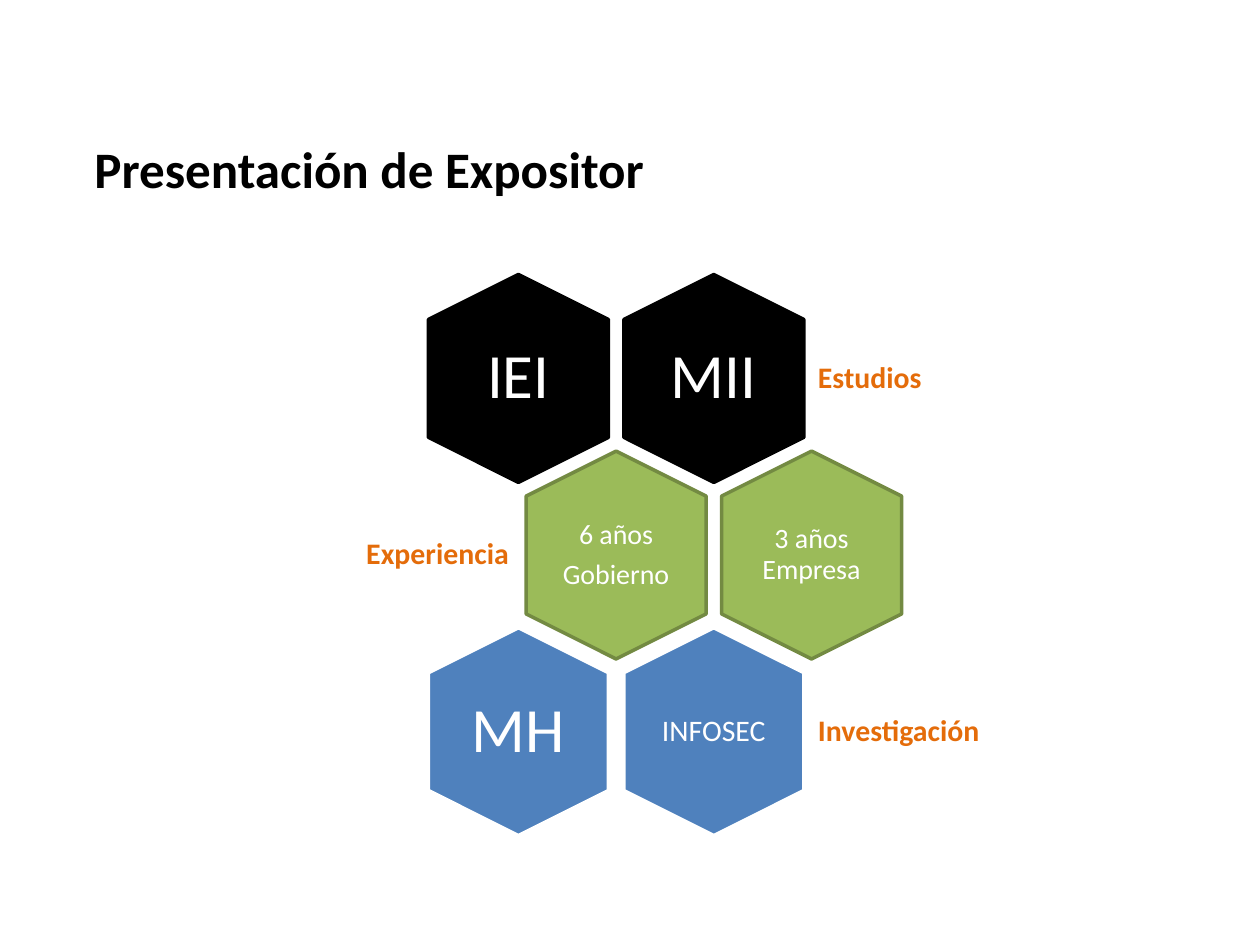
from dataclasses import dataclass

from pptx import Presentation
from pptx.dml.color import RGBColor
from pptx.enum.shapes import MSO_SHAPE
from pptx.enum.text import MSO_ANCHOR, PP_ALIGN
from pptx.slide import Slide
from pptx.text.text import TextFrame
from pptx.util import Cm, Pt

HEXAGON = MSO_SHAPE.HEXAGON
MIDDLE = MSO_ANCHOR.MIDDLE
LEFT, CENTER, RIGHT = PP_ALIGN.LEFT, PP_ALIGN.CENTER, PP_ALIGN.RIGHT

FONT = "Calibri"
COLORS = {
    "black": "000000",
    "white": "FFFFFF",
    "green": "9BBB59",
    "dark green": "738A42",
    "blue": "4F81BD",
    "orange": "E46C0A",
}

# Honeycomb grid, in centimetres
FIRST_X, FIRST_Y = 10.45, 7.63
COLUMN_STEP, ROW_STEP = 3.94, 3.56
HEXAGON_WIDTH, HEXAGON_HEIGHT = 4.19, 3.63
TEXT_WIDTH, TEXT_HEIGHT = 2.51, 2.87
LABEL_HEIGHT, LABEL_INSET = 2.51, 0.18


@dataclass
class Cell:
    lines: list[str]
    size: float


@dataclass
class Row:
    label: str
    label_left: float
    label_width: float
    label_align: PP_ALIGN
    fill: str
    line: str
    cells: list[Cell]
    shift: float = 0


ROWS = [
    Row("Estudios", 16.31, 4.67, LEFT, "black", "black",
        [Cell(["IEI"], 36), Cell(["MII"], 36)]),
    Row("Experiencia", 5.92, 4.52, RIGHT, "green", "dark green",
        [Cell(["6 años", "Gobierno"], 16), Cell(["3 años Empresa"], 16)],
        shift=COLUMN_STEP / 2),
    Row("Investigación", 16.31, 4.67, LEFT, "blue", "white",
        [Cell(["MH"], 36), Cell(["INFOSEC"], 17)]),
]


def color(name: str) -> RGBColor:
    return RGBColor.from_string(COLORS[name])


def write(frame: TextFrame, lines: list[str], size: float, ink: str,
          align: PP_ALIGN, bold: bool = False, spacing: float = 0.9) -> None:
    frame.word_wrap = True
    frame.vertical_anchor = MIDDLE
    for index, line in enumerate(lines):
        para = frame.add_paragraph() if index else frame.paragraphs[0]
        para.text = line
        para.alignment = align
        para.line_spacing = spacing
        if index:
            para.space_before = Pt(0.35 * size)
        para.font.name = FONT
        para.font.size = Pt(size)
        para.font.bold = bold
        para.font.color.rgb = color(ink)


def add_text(slide: Slide, left: float, middle: float, width: float,
             height: float, inset: float) -> TextFrame:
    """Add an empty text box centred vertically on middle."""
    box = slide.shapes.add_textbox(
        Cm(left), Cm(middle - height / 2), Cm(width), Cm(height))
    frame = box.text_frame
    frame.margin_left = frame.margin_right = Cm(inset)
    frame.margin_top = frame.margin_bottom = Cm(inset)
    return frame


def add_cell(slide: Slide, cell: Cell, row: Row, x: float, y: float) -> None:
    """Draw a hexagon and its text, both centred on x, y."""
    hexagon = slide.shapes.add_shape(
        HEXAGON, Cm(x - HEXAGON_WIDTH / 2), Cm(y - HEXAGON_HEIGHT / 2),
        Cm(HEXAGON_WIDTH), Cm(HEXAGON_HEIGHT))
    hexagon.rotation = 90
    hexagon.adjustments[0] = 0.25
    hexagon.shadow.inherit = False
    hexagon.fill.solid()
    hexagon.fill.fore_color.rgb = color(row.fill)
    hexagon.line.color.rgb = color(row.line)
    hexagon.line.width = Pt(2)
    frame = add_text(slide, x - TEXT_WIDTH / 2, y, TEXT_WIDTH, TEXT_HEIGHT, 0)
    write(frame, cell.lines, cell.size, "white", CENTER)


def add_row(slide: Slide, row: Row, y: float) -> None:
    for column, cell in enumerate(row.cells):
        add_cell(slide, cell, row, FIRST_X + row.shift + column * COLUMN_STEP, y)
    frame = add_text(slide, row.label_left, y, row.label_width,
                     LABEL_HEIGHT, LABEL_INSET)
    write(frame, [row.label], 17, "orange", row.label_align, bold=True)


def main() -> None:
    deck = Presentation()
    deck.slide_width, deck.slide_height = Cm(25.4), Cm(19.05)
    slide = deck.slides.add_slide(deck.slide_layouts.get_by_name("Title Only"))

    title = slide.shapes.title
    title.left, title.top = Cm(1.65), Cm(2.54)
    title.width, title.height = Cm(17.37), Cm(1.7)
    write(title.text_frame, ["Presentación de Expositor"], 29.2, "black",
          LEFT, bold=True, spacing=1.0)

    for index, row in enumerate(ROWS):
        add_row(slide, row, FIRST_Y + index * ROW_STEP)
    deck.save("out.pptx")


if __name__ == "__main__":
    main()
